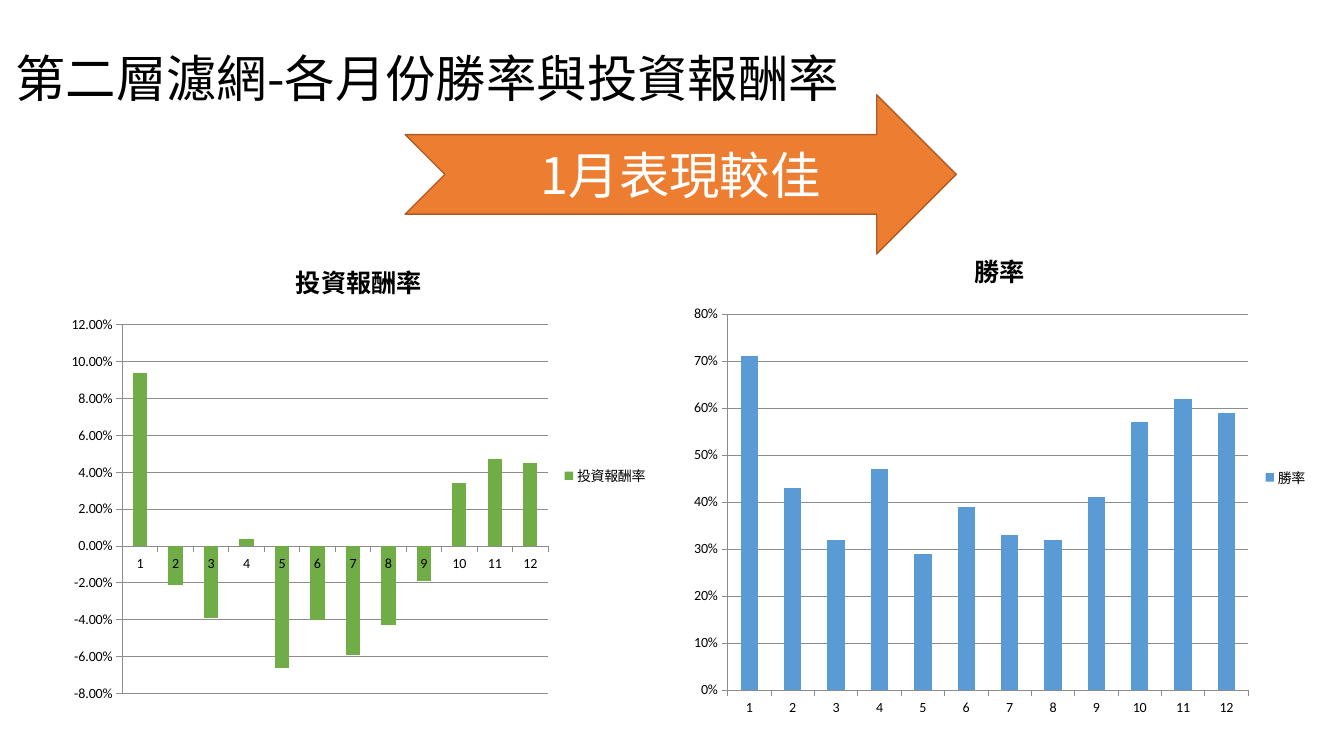
from lxml.etree import SubElement
from pptx import Presentation
from pptx.chart.data import CategoryChartData
from pptx.dml.color import RGBColor
from pptx.enum.chart import XL_CHART_TYPE, XL_LEGEND_POSITION, XL_TICK_MARK
from pptx.enum.shapes import MSO_SHAPE
from pptx.enum.text import MSO_ANCHOR, MSO_AUTO_SIZE, PP_ALIGN
from pptx.oxml.ns import qn
from pptx.util import Cm, Pt

COLORS = {
    "text": "000000",
    "light": "FFFFFF",
    "arrow": "ED7D31",
    "arrow_line": "AF5C24",
    "axis": "8C8C8C",
    "return": "70AD47",
    "win": "5B9BD5",
}
MONTHS = [str(month) for month in range(1, 13)]
RETURNS = [0.094, -0.021, -0.039, 0.004, -0.066, -0.04,
           -0.059, -0.043, -0.019, 0.034, 0.047, 0.045]
WIN_RATES = [0.71, 0.43, 0.32, 0.47, 0.29, 0.39,
             0.33, 0.32, 0.41, 0.57, 0.62, 0.59]


def color(name):
    return RGBColor.from_string(COLORS[name])


def apply(target, values):
    for name, value in values.items():
        setattr(target, name, value)


class SlideBuilder:
    heading_font = "Noto Sans CJK SC"
    chart_font = "Calibri"

    def __init__(self, slide):
        self.slide = slide

    def place(self, shape, box):
        apply(shape, dict(zip(("left", "top", "width", "height"), map(Cm, box))))

    def add_text(self, frame, text, size, color_name, bold=False):
        paragraph = frame.paragraphs[0]
        run = paragraph.add_run()
        run.text = text
        apply(run.font, {"size": Pt(size), "bold": bold, "name": self.heading_font})
        run.font.color.rgb = color(color_name)
        properties = run._r.get_or_add_rPr()
        SubElement(properties, qn("a:ea")).set("typeface", self.heading_font)
        return paragraph

    def title(self, text, box):
        shape = self.slide.shapes.title
        self.place(shape, box)
        apply(shape.text_frame, {
            "word_wrap": True,
            "auto_size": MSO_AUTO_SIZE.NONE,
            "vertical_anchor": MSO_ANCHOR.MIDDLE,
        })
        paragraph = self.add_text(shape.text_frame, text, 36, "text")
        apply(paragraph, {"alignment": PP_ALIGN.LEFT, "line_spacing": 0.9})

    def arrow(self, text, box):
        shape = self.slide.shapes.add_shape(
            MSO_SHAPE.NOTCHED_RIGHT_ARROW, *map(Cm, box))
        shape.shadow.inherit = False
        shape.fill.solid()
        shape.fill.fore_color.rgb = color("arrow")
        shape.line.color.rgb = color("arrow_line")
        shape.line.width = Pt(1)
        shape.text_frame.vertical_anchor = MSO_ANCHOR.MIDDLE
        paragraph = self.add_text(shape.text_frame, text, 36, "light")
        paragraph.alignment = PP_ALIGN.CENTER

    def axis_line(self, line):
        line.color.rgb = color("axis")
        line.width = Pt(0.5)

    def column_chart(self, name, values, color_name, number_format, scale, box,
                     legend_font):
        data = CategoryChartData(number_format=number_format)
        data.categories = MONTHS
        data.add_series(name, values)
        chart = self.slide.shapes.add_chart(
            XL_CHART_TYPE.COLUMN_STACKED, *map(Cm, box), data).chart
        apply(chart.font, {"size": Pt(10), "name": self.chart_font})
        chart.font.color.rgb = color("text")

        chart.has_title = True
        self.add_text(chart.chart_title.text_frame, name, 18, "text", bold=True)
        chart.chart_title.include_in_layout = False

        chart.has_legend = True
        apply(chart.legend, {
            "position": XL_LEGEND_POSITION.RIGHT,
            "include_in_layout": False,
        })
        apply(chart.legend.font, {"size": Pt(10), "name": legend_font})

        plot = chart.plots[0]
        apply(plot, {"gap_width": 150, "overlap": 100, "vary_by_categories": False})
        series = plot.series[0]
        series.invert_if_negative = False
        series.format.fill.solid()
        series.format.fill.fore_color.rgb = color(color_name)

        for axis in (chart.category_axis, chart.value_axis):
            apply(axis, {
                "major_tick_mark": XL_TICK_MARK.OUTSIDE,
                "minor_tick_mark": XL_TICK_MARK.NONE,
            })
            self.axis_line(axis.format.line)
        value_axis = chart.value_axis
        apply(value_axis, dict(zip(
            ("minimum_scale", "maximum_scale", "major_unit"), scale)))
        value_axis.has_major_gridlines = True
        self.axis_line(value_axis.major_gridlines.format.line)
        apply(value_axis.tick_labels, {
            "number_format": number_format,
            "number_format_is_linked": False,
        })


presentation = Presentation()
apply(presentation, {"slide_width": Cm(33.87), "slide_height": Cm(19.05)})
builder = SlideBuilder(presentation.slides.add_slide(presentation.slide_layouts[5]))
builder.title("第二層濾網-各月份勝率與投資報酬率", (0.13, 0.2, 29.21, 3.68))
builder.arrow("1月表現較佳", (10.21, 2.39, 13.89, 4.01))
builder.column_chart("投資報酬率", RETURNS, "return", "0.00%", (-0.08, 0.12, 0.02),
                     (1.5, 6.07, 15.09, 11.84), builder.chart_font)
builder.column_chart("勝率", WIN_RATES, "win", "0%", (0, 0.8, 0.1),
                     (17.17, 5.77, 16.05, 12.52), builder.heading_font)
presentation.save("out.pptx")
